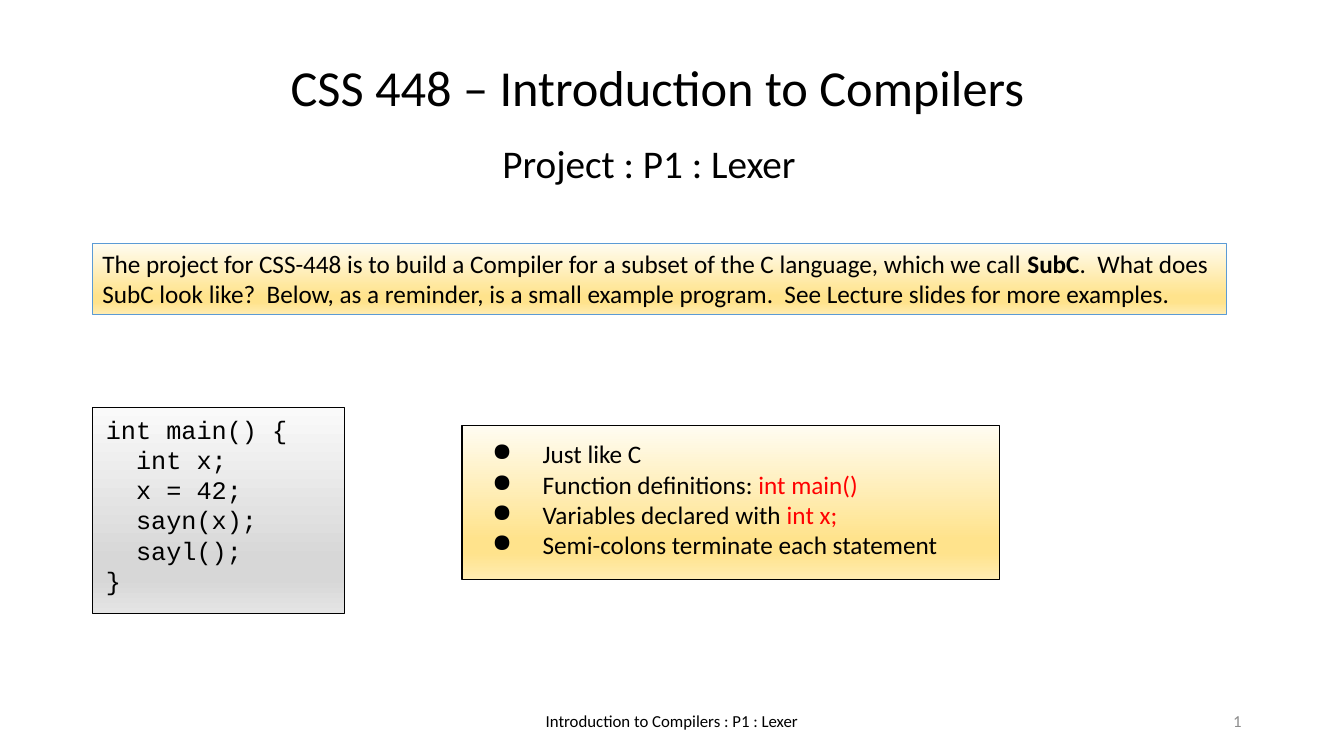
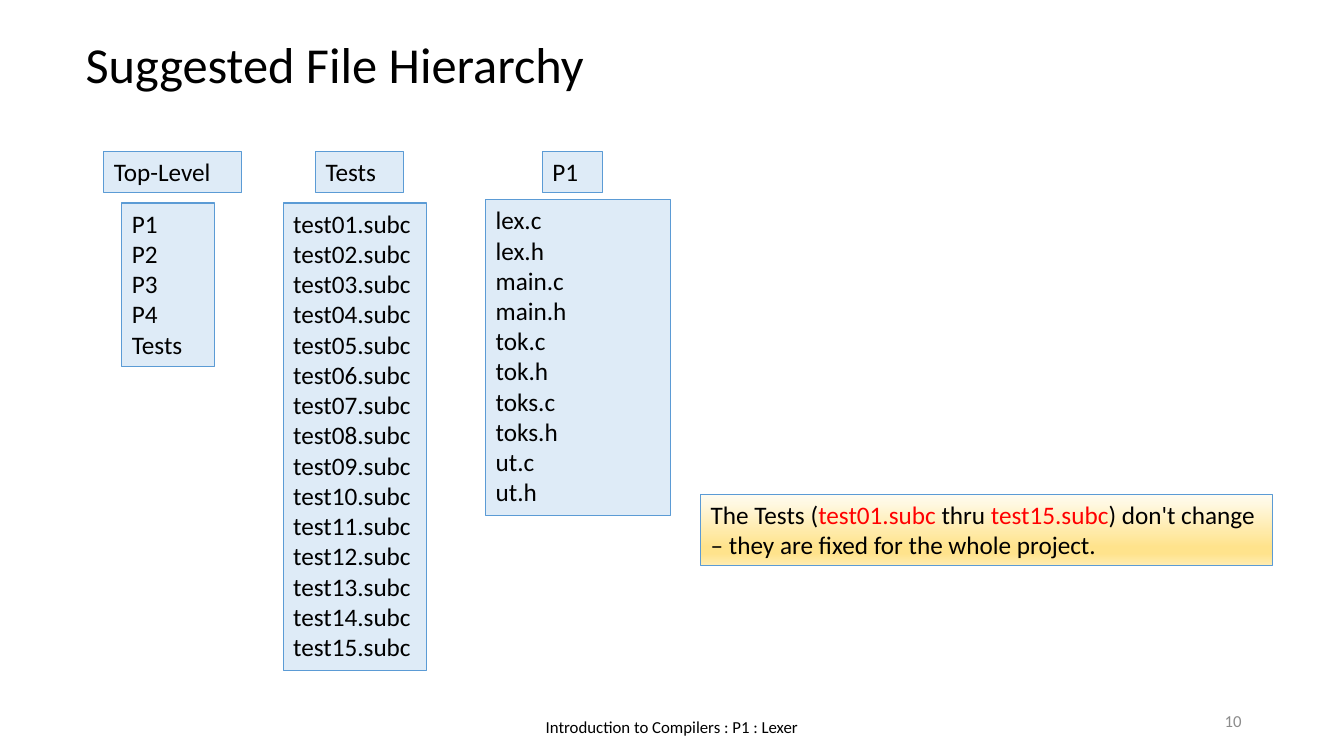
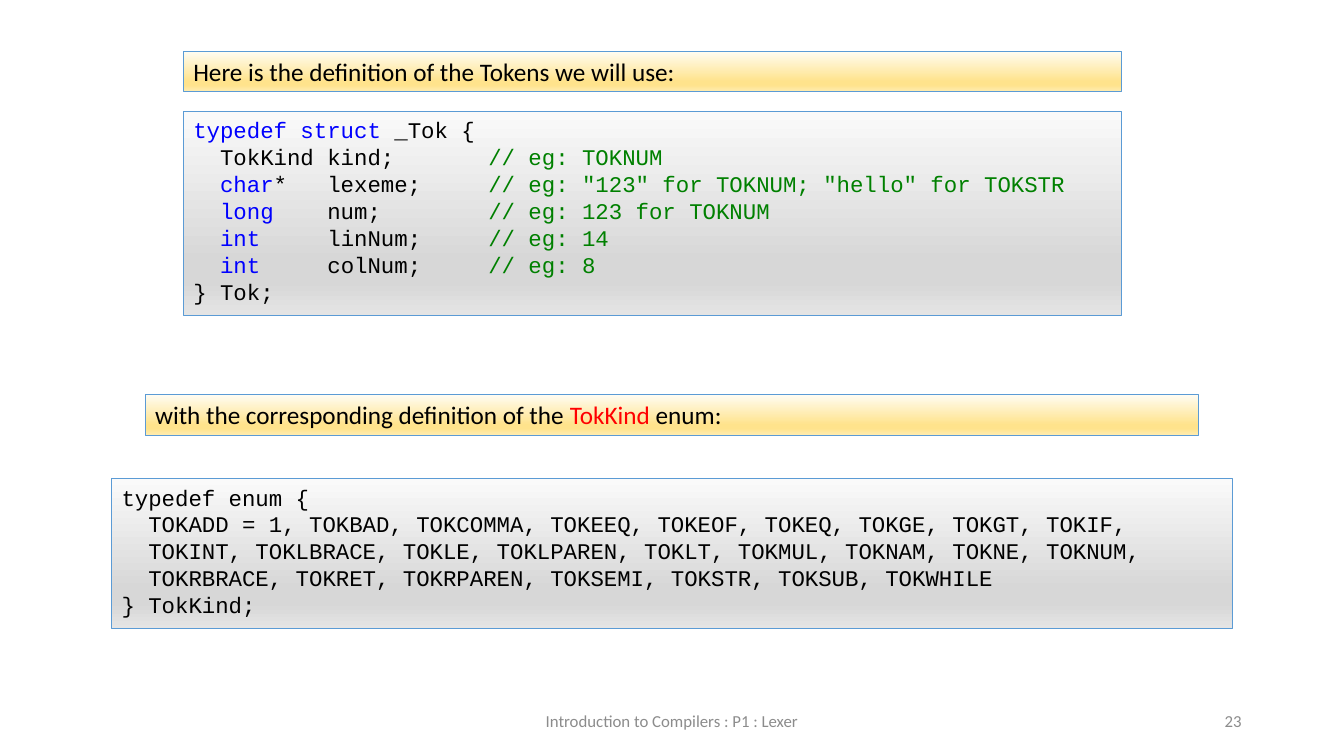
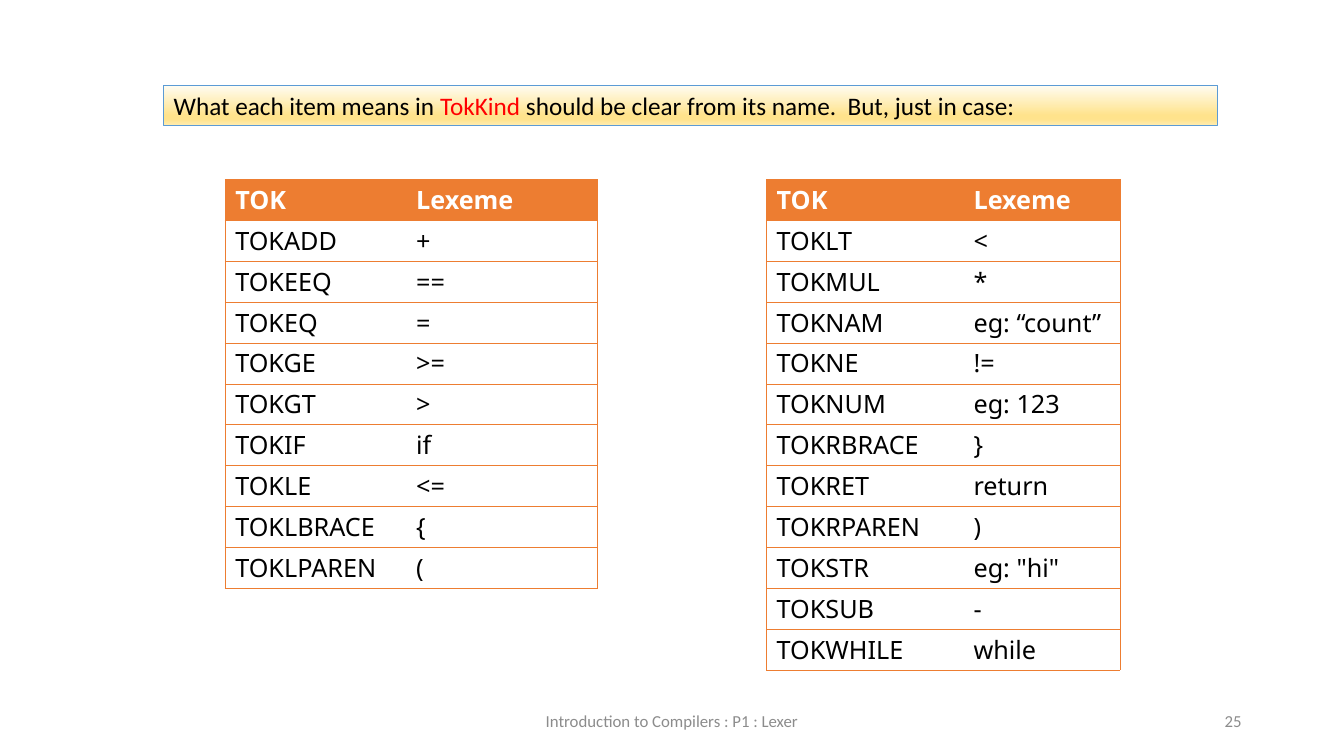
import dataclasses

import lxml.etree
import pptx
import pptx.dml.color
import pptx.enum.shapes
import pptx.enum.text
import pptx.oxml.ns
import pptx.util

Pt = pptx.util.Pt
ALIGN = pptx.enum.text.PP_ALIGN
ANCHOR = pptx.enum.text.MSO_ANCHOR
qn = pptx.oxml.ns.qn


@dataclasses.dataclass(frozen=True)
class Theme:
    text: str = "000000"
    muted: str = "8C8C8C"
    white: str = "FFFFFF"
    accent: str = "FF0000"
    keyword: str = "0000FF"
    comment: str = "008000"
    edge: str = "5B9BD5"
    list_fill: str = "DEEBF7"
    table: str = "ED7D31"
    gold: tuple = ((0, "FFFCF2"), (74, "FFE38C"), (83, "FFE38C"), (100, "FFECB2"))
    silver: tuple = ((0, "FAFAFA"), (74, "D7D7D7"), (83, "D7D7D7"), (100, "E4E4E4"))
    sans: str = "Calibri"
    mono: str = "Courier New"
    grid: str = "Noto Sans"
    title_size: int = 36
    subtitle_size: int = 28
    body_size: int = 18
    code_size: int = 16
    footer_size: int = 12
    edge_width: float = 0.75
    rule_width: float = 0.5
    inset: tuple = (7.2, 3.6, 7.2, 3.6)
    wide_inset: tuple = (9.6, 4.8, 9.6, 4.8)
    even_inset: tuple = (9.6, 9.6, 9.6, 9.6)


theme = Theme()
NBSP = "\u00a0"

FOOTER = "Introduction to Compilers : P1 : Lexer"

INTRO = [[
    "The project for CSS-448 is to build a Compiler for a subset of the C language, which we call ",
    ("SubC", "bold"),
    ".  What does SubC look like?  Below, as a reminder, is a small example program.  "
    "See Lecture slides for more examples.",
]]
PROGRAM = ["int main() {", "  int x;", "  x = 42;", "  sayn(x);", "  sayl();", "}"]
FEATURES = [
    "Just like C",
    ["Function definitions: ", ("int main()", "accent")],
    ["Variables declared with ", ("int x;", "accent")],
    "Semi-colons terminate each statement",
]

FOLDERS = [
    ("Top-Level", (74.2, 98), (87.1, 145, 66.2, 116.6),
     ["P1", "P2", "P3", "P4", "Tests"]),
    ("Tests", (225.5, 62.6), (202.3, 145, 102.2, 334),
     [f"test{number:02}.subc" for number in range(1, 16)]),
    ("P1", (387.4, 43.2), (347, 142.6, 131.8, 225.4),
     [f"{stem}.{ending}" for stem in ("lex", "main", "tok", "toks", "ut") for ending in "ch"]),
]
TESTS_NOTE = [[
    "The Tests (", ("test01.subc", "accent"), " thru ", ("test15.subc", "accent"),
    ") don't change \u2013 they are fixed for the whole project.",
]]

TOKEN_INTRO = ["Here is the definition of the Tokens we will use:"]
TOKEN_FIELDS = [
    ("", "TokKind", "kind;", "TOKNUM"),
    ("char", "*", "lexeme;", '"123" for TOKNUM; "hello" for TOKSTR'),
    ("long", "", "num;", "123 for TOKNUM"),
    ("int", "", "linNum;", "14"),
    ("int", "", "colNum;", "8"),
]
KIND_INTRO = [["with the corresponding definition of the ", ("TokKind", "accent"), " enum:"]]
KIND_ENUM = [
    "typedef enum {",
    "  TOKADD = 1, TOKBAD, TOKCOMMA, TOKEEQ, TOKEOF, TOKEQ, TOKGE, TOKGT, TOKIF,",
    "  TOKINT, TOKLBRACE, TOKLE, TOKLPAREN, TOKLT, TOKMUL, TOKNAM, TOKNE, TOKNUM,",
    "  TOKRBRACE, TOKRET, TOKRPAREN, TOKSEMI, TOKSTR, TOKSUB, TOKWHILE",
    "} TokKind;",
]

MEANING_INTRO = [[
    "What each item means in ", ("TokKind", "accent"),
    " should be clear from its name.  But, just in case:",
]]
LEXEME_HEAD = ("TOK", "Lexeme")
LEXEME_TABLES = [
    (160.9, (129.2, 136.4), [
        ("TOKADD", "+"), ("TOKEEQ", "=="), ("TOKEQ", "="), ("TOKGE", ">="), ("TOKGT", ">"),
        ("TOKIF", "if"), ("TOKLE", "<="), ("TOKLBRACE", "{"), ("TOKLPAREN", "("),
    ]),
    (547.6, (140.6, 111.8), [
        ("TOKLT", "<"), ("TOKMUL", "*"), ("TOKNAM", "eg: \u201ccount\u201d"), ("TOKNE", "!="),
        ("TOKNUM", "eg: 123"), ("TOKRBRACE", "}"), ("TOKRET", "return"), ("TOKRPAREN", ")"),
        ("TOKSTR", 'eg: "hi"'), ("TOKSUB", "-"), ("TOKWHILE", "while"),
    ]),
]


def rgb(colour):
    return pptx.dml.color.RGBColor.from_string(colour)


def add_element(parent, tag, **attributes):
    return lxml.etree.SubElement(parent, qn(tag), **attributes)


def style_font(font, size, name, colour, bold=False):
    font.size = Pt(size)
    font.name = name
    font.bold = bold
    font.color.rgb = rgb(colour)


def write(frame, lines, size, name=theme.sans, colour=theme.text, align=ALIGN.LEFT,
          anchor=ANCHOR.TOP, inset=theme.inset, bullet=None):
    frame.word_wrap = True
    frame.vertical_anchor = anchor
    frame.margin_left, frame.margin_top, frame.margin_right, frame.margin_bottom = map(Pt, inset)
    for index, line in enumerate(lines):
        para = frame.add_paragraph() if index else frame.paragraphs[0]
        para.alignment = align
        style_font(para.font, size, name, colour)
        if bullet:
            properties = para._p.get_or_add_pPr()
            properties.set("marL", str(Pt(48)))
            properties.set("indent", str(Pt(-36)))
            properties.insert(0, properties.makeelement(qn("a:buChar"), {"char": bullet}))
        for part in [line] if isinstance(line, str) else line:
            words, role = (part, None) if isinstance(part, str) else part
            span = para.add_run()
            span.text = words
            if role == "bold":
                span.font.bold = True
            elif role:
                span.font.color.rgb = rgb(getattr(theme, role))


def add_text(page, at, lines, size, **options):
    box = page.shapes.add_textbox(*map(Pt, at))
    write(box.text_frame, lines, size, **options)
    return box


def add_panel(page, at, lines, fill=theme.gold, edge=theme.edge, size=theme.body_size, **options):
    box = page.shapes.add_shape(pptx.enum.shapes.MSO_SHAPE.RECTANGLE, *map(Pt, at))
    box.shadow.inherit = False
    box.line.color.rgb = rgb(edge)
    box.line.width = Pt(theme.edge_width)
    if isinstance(fill, str):
        box.fill.solid()
        box.fill.fore_color.rgb = rgb(fill)
    else:
        box.fill.gradient()
        box.fill.gradient_angle = 270
        stops = box._element.spPr.find(qn("a:gradFill")).find(qn("a:gsLst"))
        for stop in list(stops):
            stops.remove(stop)
        for position, colour in fill:
            stop = add_element(stops, "a:gs", pos=str(position * 1000))
            add_element(stop, "a:srgbClr", val=colour)
    write(box.text_frame, lines, size, **options)


def add_page(number, footer_colour=theme.muted, footer_top=500.4):
    page = deck.slides.add_slide(deck.slide_layouts[6])
    add_text(page, (318, footer_top, 324, 28.8), [FOOTER], theme.footer_size,
             colour=footer_colour, align=ALIGN.CENTER, anchor=ANCHOR.MIDDLE)
    add_text(page, (678, 500.4, 216, 28.8), [str(number)], theme.footer_size,
             colour=theme.muted, align=ALIGN.RIGHT, anchor=ANCHOR.MIDDLE)
    return page


def rule_cell(cell, sides):
    properties = cell._tc.get_or_add_tcPr()
    for index, side in enumerate(sides):
        line = properties.makeelement(qn(f"a:ln{side}"), {"w": str(Pt(theme.rule_width))})
        fill = add_element(line, "a:solidFill")
        add_element(fill, "a:srgbClr", val=theme.table)
        properties.insert(index, line)


def add_lexeme_table(page, left, widths, body, top=128.2, row_height=29.2):
    rows = [LEXEME_HEAD] + body
    holder = page.shapes.add_table(len(rows), len(widths), Pt(left), Pt(top),
                                   Pt(sum(widths)), Pt(row_height * len(rows)))
    table = holder.table
    table.horz_banding = False
    table._tbl.tblPr.find(qn("a:tableStyleId")).text = "{2D5ABB26-0587-4C30-8999-92F81FD0307C}"
    for column, width in zip(table.columns, widths):
        column.width = Pt(width)
    for index, row in enumerate(rows):
        table.rows[index].height = Pt(row_height)
        heading = index == 0
        for place, words in enumerate(row):
            cell = table.cell(index, place)
            cell.margin_top = cell.margin_bottom = Pt(2.2)
            para = cell.text_frame.paragraphs[0]
            para.text = words
            style_font(para.font, theme.body_size, theme.grid,
                       theme.white if heading else theme.text, heading)
            if heading:
                cell.fill.solid()
                cell.fill.fore_color.rgb = rgb(theme.table)
            else:
                cell.fill.background()
            rule_cell(cell, ("R" if place else "L") + "TB")


def token_struct():
    yield [("typedef struct".replace(" ", NBSP), "keyword"), f"{NBSP}_Tok{NBSP}{{"]
    for keyword, suffix, name, example in TOKEN_FIELDS:
        declared = suffix.ljust(8 - len(keyword)) + name.ljust(12)
        parts = [("  ", None), (keyword, "keyword"), (declared, None),
                 (f"// eg: {example}", "comment")]
        yield [(words.replace(" ", NBSP), role) for words, role in parts if words]
    yield f"}}{NBSP}Tok;"


deck = pptx.Presentation()
deck.slide_width, deck.slide_height = Pt(960), Pt(540)

page = add_page(1, footer_colour=theme.text)
title = add_text(page, (198, 41.8, 592.6, 46.8), ["CSS 448 \u2013 Introduction to Compilers"],
                 theme.title_size, anchor=ANCHOR.BOTTOM, inset=theme.wide_inset)
title.text_frame.paragraphs[0].line_spacing = 0.9
add_text(page, (285.8, 95, 355.7, 46), ["Project : P1 : Lexer"], theme.subtitle_size,
         align=ALIGN.CENTER, inset=theme.wide_inset)
add_panel(page, (66, 173.6, 810, 51), INTRO)
add_panel(page, (66, 291, 180, 147), PROGRAM, fill=theme.silver, edge=theme.text,
          name=theme.mono, inset=theme.wide_inset)
add_panel(page, (330, 303.8, 384, 110), FEATURES, edge=theme.text,
          inset=theme.even_inset, bullet="\u25cf")

page = add_page(10, footer_colour=theme.text, footer_top=504.7)
add_text(page, (54, 20.2, 435.6, 51), ["Suggested File Hierarchy"], theme.title_size)
for folder, (left, width), list_at, files in FOLDERS:
    add_panel(page, (left, 108.4, width, 29), [folder], fill=theme.list_fill)
    add_panel(page, list_at, files, fill=theme.list_fill)
add_panel(page, (500.6, 353, 408.2, 51), TESTS_NOTE)

page = add_page(23)
add_panel(page, (131, 36.7, 670.3, 29), TOKEN_INTRO)
add_panel(page, (131, 79.7, 670.3, 145.6), token_struct(), fill=theme.silver,
          size=theme.code_size, name=theme.mono)
add_panel(page, (103.7, 282, 752.4, 29), KIND_INTRO)
add_panel(page, (79.7, 342, 800.6, 106.8), KIND_ENUM, fill=theme.silver,
          size=theme.code_size, name=theme.mono)

page = add_page(25)
add_panel(page, (117, 61, 752.4, 29), MEANING_INTRO)
for left, widths, body in LEXEME_TABLES:
    add_lexeme_table(page, left, widths, body)

deck.save("out.pptx")
